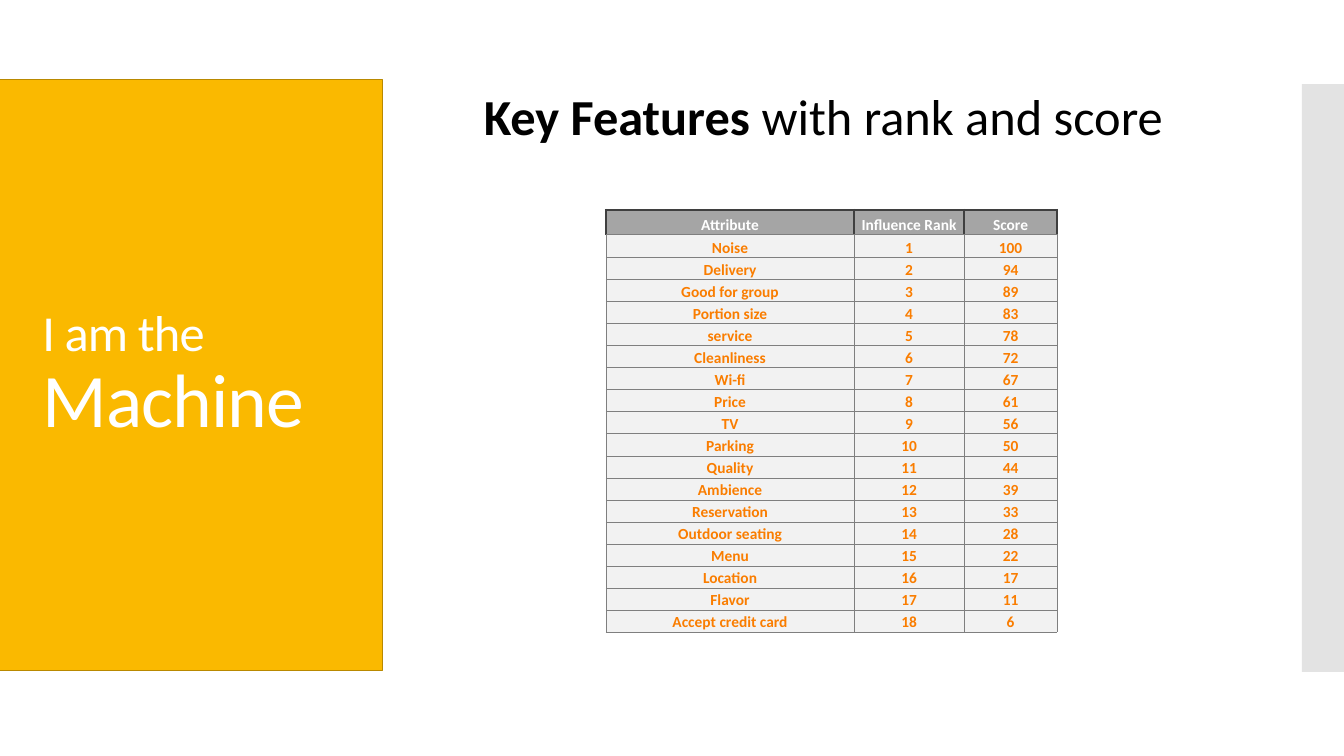
from dataclasses import dataclass

from lxml.etree import SubElement
from pptx import Presentation
from pptx.dml.color import RGBColor
from pptx.enum.shapes import MSO_SHAPE
from pptx.enum.text import MSO_ANCHOR, MSO_AUTO_SIZE, PP_ALIGN
from pptx.oxml.ns import qn
from pptx.slide import Slide
from pptx.table import _Cell
from pptx.text.text import _Paragraph
from pptx.util import Pt


@dataclass(frozen=True)
class Theme:
    font: str = "Calibri"
    white: str = "FFFFFF"
    black: str = "000000"
    gold: str = "FAB900"
    gold_edge: str = "B98900"
    side_grey: str = "C8C8C8"
    header_fill: str = "A5A5A5"
    header_edge: str = "3F3F3F"
    body_fill: str = "F2F2F2"
    body_edge: str = "7F7F7F"
    orange: str = "FA7D00"
    heading_size: float = 36
    emphasis_size: float = 54
    table_size: float = 11


@dataclass(frozen=True)
class Panel:
    left: float
    top: float
    width: float
    height: float
    fill: str
    edge: str | None = None
    opacity: int = 100


@dataclass(frozen=True)
class Edge:
    color: str
    width: float


@dataclass(frozen=True)
class CellStyle:
    fill: str
    text: str
    outer: Edge
    bottom: Edge


THEME = Theme()
THIN = Edge(THEME.body_edge, 0.5)
HEADER = CellStyle(THEME.header_fill, THEME.white, Edge(THEME.header_edge, 2), THIN)
BODY = CellStyle(THEME.body_fill, THEME.orange, THIN, THIN)

PANELS = [
    Panel(930, 60, 30, 420, THEME.side_grey, opacity=50),
    Panel(-11.5, 57, 284.5, 422, THEME.gold, edge=THEME.gold_edge),
]
COLUMNS = {"Attribute": 177, "Influence Rank": 78.75, "Score": 66.25}
HEADER_HEIGHT, FIRST_HEIGHT, ROW_HEIGHT = 17.5, 16.5, 15.75
SCORES = {
    "Noise": 100, "Delivery": 94, "Good for group": 89, "Portion size": 83,
    "service": 78, "Cleanliness": 72, "Wi-fi": 67, "Price": 61, "TV": 56,
    "Parking": 50, "Quality": 44, "Ambience": 39, "Reservation": 33,
    "Outdoor seating": 28, "Menu": 22, "Location": 17, "Flavor": 11,
    "Accept credit card": 6,
}


def rgb(color: str) -> RGBColor:
    return RGBColor.from_string(color)


def set_font(para: _Paragraph, size: float, color: str) -> None:
    para.font.name = THEME.font
    para.font.size = Pt(size)
    para.font.color.rgb = rgb(color)


def add_panel(page: Slide, panel: Panel) -> None:
    box = page.shapes.add_shape(
        MSO_SHAPE.RECTANGLE,
        Pt(panel.left), Pt(panel.top), Pt(panel.width), Pt(panel.height),
    )
    box.shadow.inherit = False
    box.fill.solid()
    box.fill.fore_color.rgb = rgb(panel.fill)
    if panel.opacity < 100:
        color = box.element.spPr.find(qn("a:solidFill"))[0]
        SubElement(color, qn("a:alpha"), val=str(panel.opacity * 1000))
    if panel.edge:
        box.line.color.rgb = rgb(panel.edge)
        box.line.width = Pt(0.85)
    else:
        box.line.fill.background()


def place_title(page: Slide) -> None:
    """Format the title placeholder and bring it in front of the panels."""
    title = page.shapes.title
    title.element.getparent().append(title.element)
    title.left, title.top, title.width, title.height = Pt(23), Pt(85), Pt(232), Pt(366.5)
    frame = title.text_frame
    frame.word_wrap = True
    frame.auto_size = MSO_AUTO_SIZE.NONE
    frame.vertical_anchor = MSO_ANCHOR.MIDDLE
    para = frame.paragraphs[0]
    para.alignment = PP_ALIGN.LEFT
    para.line_spacing = 0.9
    set_font(para, THEME.heading_size, THEME.white)
    para.add_run().text = "I am the "
    para.add_line_break()
    machine = para.add_run()
    machine.text = "Machine"
    machine.font.size = Pt(THEME.emphasis_size)
    for span in para.runs:
        span._r.get_or_add_rPr().set("spc", "-60")


def add_heading(page: Slide) -> None:
    box = page.shapes.add_textbox(Pt(338.5), Pt(57), Pt(611), Pt(51))
    frame = box.text_frame
    frame.word_wrap = True
    frame.auto_size = MSO_AUTO_SIZE.SHAPE_TO_FIT_TEXT
    para = frame.paragraphs[0]
    set_font(para, THEME.heading_size, THEME.black)
    for words, bold in (("Key Features ", True), ("with rank and score", False)):
        span = para.add_run()
        span.text = words
        span.font.bold = bold


def set_borders(cell: _Cell, style: CellStyle) -> None:
    properties = cell._tc.get_or_add_tcPr()
    for side in ("lnL", "lnR", "lnT", "lnB"):
        edge = style.bottom if side == "lnB" else style.outer
        line = SubElement(properties, qn(f"a:{side}"), w=str(Pt(edge.width)))
        fill = SubElement(line, qn("a:solidFill"))
        SubElement(fill, qn("a:srgbClr"), val=edge.color)


def fill_cell(cell: _Cell, text: str, style: CellStyle) -> None:
    set_borders(cell, style)
    cell.fill.solid()
    cell.fill.fore_color.rgb = rgb(style.fill)
    cell.margin_left = cell.margin_right = cell.margin_top = Pt(0.75)
    cell.margin_bottom = Pt(0)
    cell.vertical_anchor = MSO_ANCHOR.BOTTOM
    cell.text = text
    para = cell.text_frame.paragraphs[0]
    para.alignment = PP_ALIGN.CENTER
    set_font(para, THEME.table_size, style.text)
    para.font.bold = True


def add_feature_table(page: Slide) -> None:
    rows = [tuple(COLUMNS)]
    rows += [
        (name, str(rank), str(score))
        for rank, (name, score) in enumerate(SCORES.items(), start=1)
    ]
    heights = [HEADER_HEIGHT, FIRST_HEIGHT] + [ROW_HEIGHT] * (len(rows) - 2)
    table = page.shapes.add_table(
        len(rows), len(COLUMNS),
        Pt(433), Pt(150), Pt(sum(COLUMNS.values())), Pt(sum(heights)),
    ).table
    table.horz_banding = False
    for column, width in zip(table.columns, COLUMNS.values()):
        column.width = Pt(width)
    for index, (values, height) in enumerate(zip(rows, heights)):
        table.rows[index].height = Pt(height)
        for cell, text in zip(table.rows[index].cells, values):
            fill_cell(cell, text, BODY if index else HEADER)


def main() -> None:
    deck = Presentation()
    deck.slide_width, deck.slide_height = Pt(960), Pt(540)
    page = deck.slides.add_slide(deck.slide_layouts.get_by_name("Title Only"))
    for panel in PANELS:
        add_panel(page, panel)
    place_title(page)
    add_heading(page)
    add_feature_table(page)
    deck.save("out.pptx")


if __name__ == "__main__":
    main()
